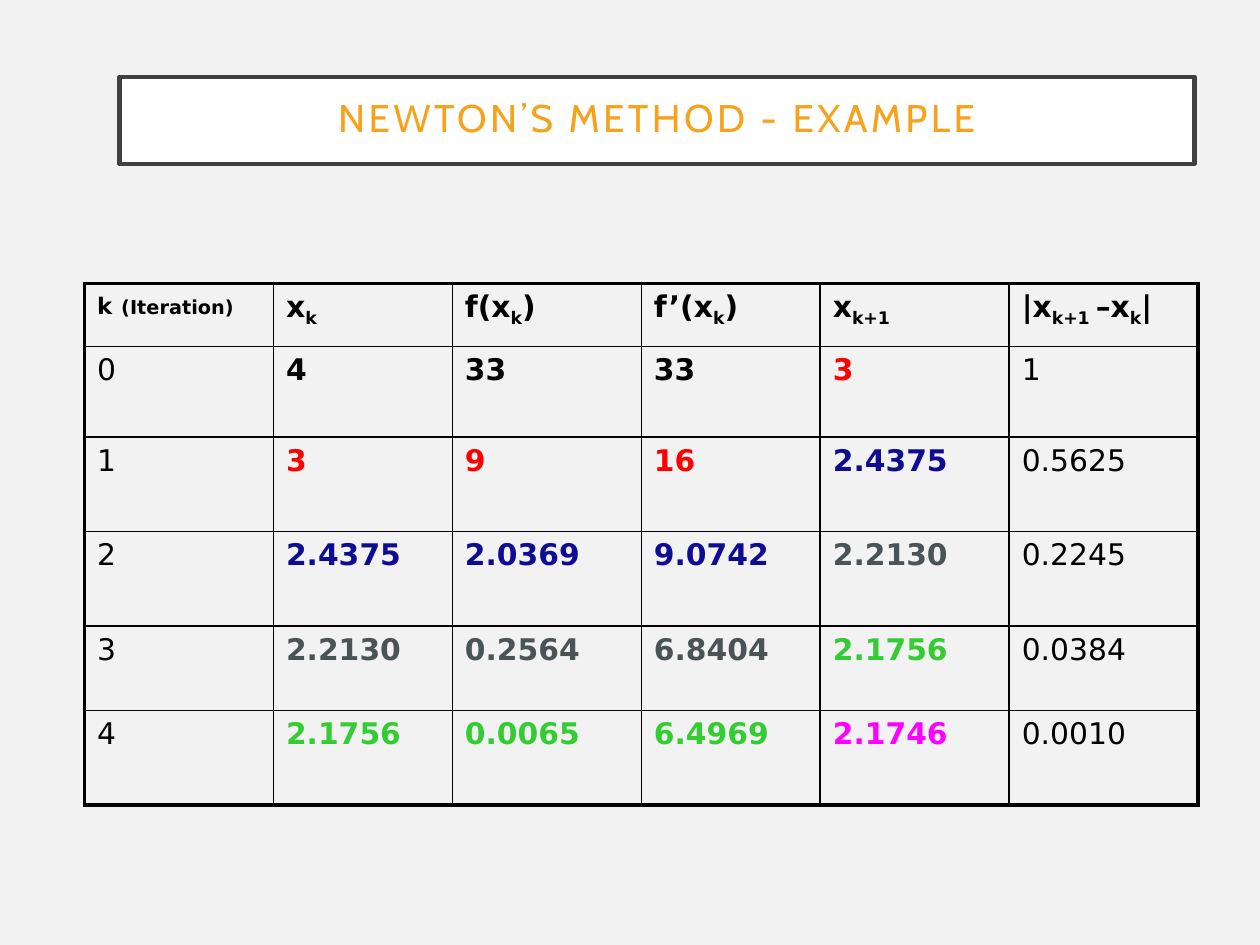
"""Build the slide with the iteration table for Newton's method."""
from pptx import Presentation
from pptx import util as u
from pptx.dml.color import RGBColor
from pptx.enum import shapes, text
from pptx.oxml.ns import qn
from lxml import etree

HUES = {
    "back": "F2F2F2", "white": "FFFFFF", "frame": "404040", "gold": "F6A21D",
    "black": "000000", "red": "FF0000", "navy": "0E0C93", "slate": "4A5356",
    "green": "33CC33", "pink": "FF00FF",
}
TONES = ["black", "red", "navy", "slate", "green", "pink"]
COLS = [1.5, 1.42, 1.5, 1.42, 1.5, 1.5]
ROWS = [0.5, 0.72, 0.75, 0.75, 0.67, 0.75]
HEADS = ["x_k", "f(x_k_)", "f’(x_k_)", "x_k+1", "|x_k+1 _–x_k_|"]
DATA = [
    ["0", "4", "33", "33", "3", "1"],
    ["1", "3", "9", "16", "2.4375", "0.5625"],
    ["2", "2.4375", "2.0369", "9.0742", "2.2130", "0.2245"],
    ["3", "2.2130", "0.2564", "6.8404", "2.1756", "0.0384"],
    ["4", "2.1756", "0.0065", "6.4969", "2.1746", "0.0010"],
]


def hue(name):
    """Return the named colour."""
    return RGBColor.from_string(HUES[name])


def add_run(para, words, size=17, tone="black", bold=False, face="DejaVu Sans"):
    """Add one styled run and return it."""
    run = para.add_run()
    run.text = words
    font = run.font
    font.size, font.bold, font.name = u.Pt(size), bold, face
    font.color.rgb = hue(tone)
    return run


def add_math(para, words):
    """Add a bold formula in which underscores switch subscript on and off."""
    for i, part in enumerate(words.split("_")):
        if part:
            run = add_run(para, part, bold=True)
            if i % 2:
                run.font._element.set("baseline", "-25000")


def add_title(slide, words):
    """Add the framed title."""
    box = slide.shapes.add_shape(
        shapes.MSO_SHAPE.RECTANGLE,
        u.Inches(0.95), u.Inches(0.61), u.Inches(8.53), u.Inches(0.69))
    box.shadow.inherit = False
    box.fill.solid()
    box.fill.fore_color.rgb = hue("white")
    box.line.color.rgb = hue("frame")
    box.line.width = u.Pt(2.5)
    frame = box.text_frame
    frame.word_wrap = True
    frame.vertical_anchor = text.MSO_ANCHOR.MIDDLE
    frame.margin_left = frame.margin_right = u.Inches(0.2)
    frame.margin_top = frame.margin_bottom = u.Inches(0.2)
    para = frame.paragraphs[0]
    para.alignment = text.PP_ALIGN.CENTER
    para.line_spacing = 0.9
    run = add_run(para, words, 22, "gold", face="Cabin")
    run.font._element.set("spc", "200")


def set_edge(cell, row, col):
    """Draw the cell borders, thick on the outside of the table."""
    props = cell._tc.get_or_add_tcPr()
    outer = {"L": col == 0, "R": col == len(COLS) - 1,
             "T": row == 0, "B": row == len(ROWS) - 1}
    for side, thick in outer.items():
        line = etree.SubElement(props, qn(f"a:ln{side}"),
                                w=str(u.Pt(2.25 if thick else 1)))
        fill = etree.SubElement(line, qn("a:solidFill"))
        etree.SubElement(fill, qn("a:srgbClr"), val=HUES["black"])
    cell.fill.background()


def fill_head(table):
    """Write the header row."""
    para = table.cell(0, 0).text_frame.paragraphs[0]
    for words, size in [("k", 13), (" ", 15), ("(Iteration)", 11)]:
        add_run(para, words, size, bold=True)
    for col, words in enumerate(HEADS, 1):
        add_math(table.cell(0, col).text_frame.paragraphs[0], words)


def fill_body(table):
    """Write the values, each new estimate in the tone of the next row."""
    for row, vals in enumerate(DATA):
        here, after = TONES[row:row + 2]
        tones = ["black", here, here, here, after, "black"]
        for col, (val, tone) in enumerate(zip(vals, tones)):
            para = table.cell(row + 1, col).text_frame.paragraphs[0]
            add_run(para, val, tone=tone, bold=0 < col < 5)


def add_grid(slide):
    """Add the iteration table."""
    table = slide.shapes.add_table(
        len(ROWS), len(COLS), u.Inches(0.67), u.Inches(2.25),
        u.Inches(sum(COLS)), u.Inches(sum(ROWS))).table
    table.first_row = table.horz_banding = False
    for col, width in enumerate(COLS):
        table.columns[col].width = u.Inches(width)
    for row, height in enumerate(ROWS):
        table.rows[row].height = u.Inches(height)
        for col in range(len(COLS)):
            set_edge(table.cell(row, col), row, col)
    fill_head(table)
    fill_body(table)


def main():
    """Build and save the slide."""
    deck = Presentation()
    deck.slide_width, deck.slide_height = u.Inches(10), u.Inches(7.5)
    slide = deck.slides.add_slide(deck.slide_layouts[6])
    slide.background.fill.solid()
    slide.background.fill.fore_color.rgb = hue("back")
    add_title(slide, "NEWTON’S METHOD - EXAMPLE")
    add_grid(slide)
    deck.save("out.pptx")


if __name__ == "__main__":
    main()
